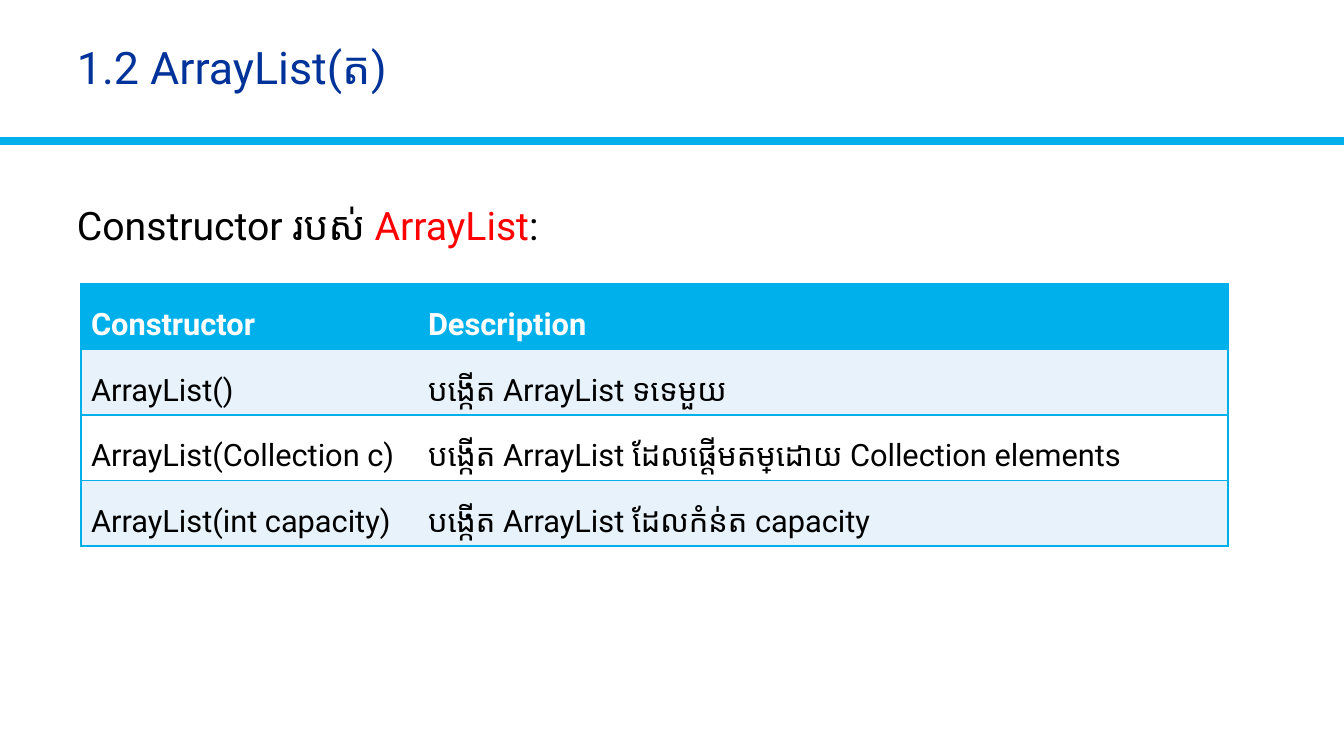
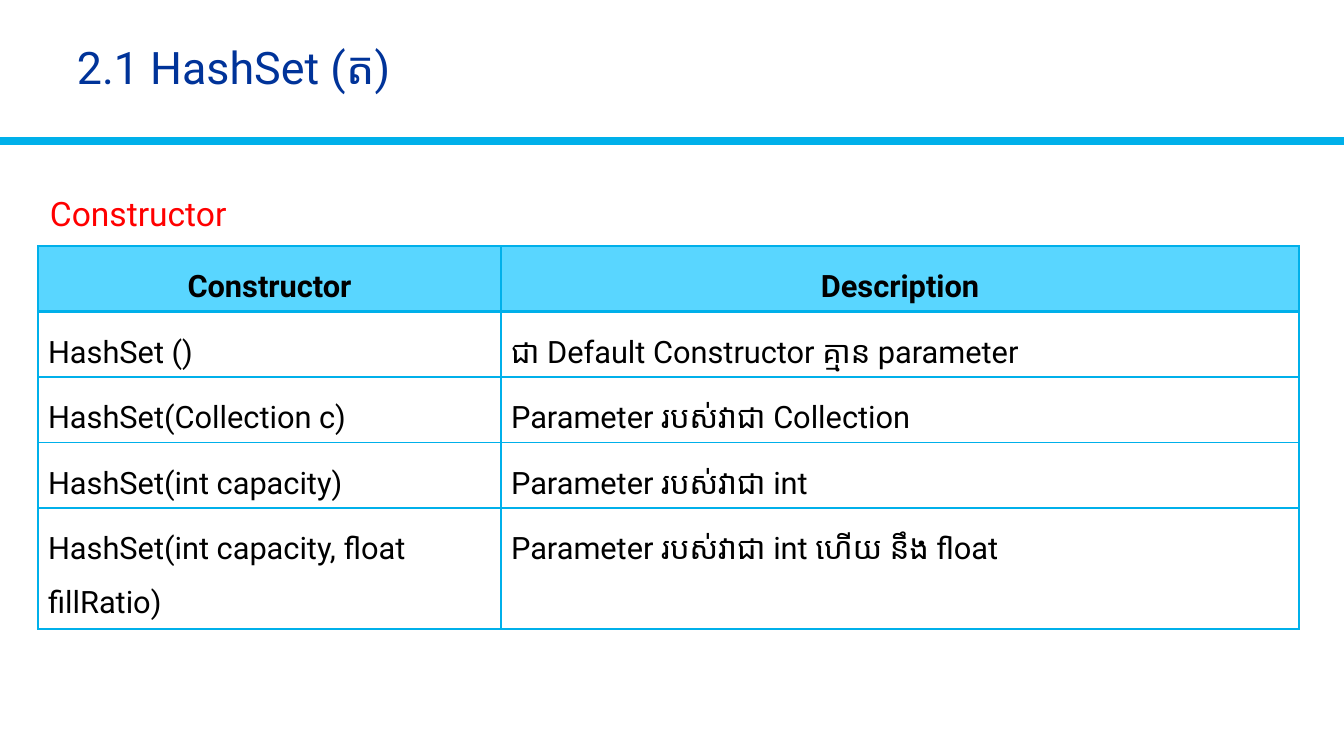
"""Builds two slides that list the constructors of ArrayList and HashSet."""
from lxml.etree import SubElement
from pptx import Presentation
from pptx.dml.color import RGBColor
from pptx.enum.shapes import MSO_CONNECTOR
from pptx.enum.text import MSO_ANCHOR, PP_ALIGN
from pptx.oxml.ns import qn
from pptx.util import Emu, Pt

COLORS = {
    "navy": "003399", "cyan": "00B0EA", "sky": "59D6FF", "pale": "E7F2FB",
    "white": "FFFFFF", "black": "000000", "red": "FF0000",
}
FONT = "Roboto"
SCALE = 914400 / 100.8
WIDTH, HEIGHT = 1344, 756


def px(length):
    return Emu(round(length * SCALE))


def rgb(name):
    return RGBColor.from_string(COLORS[name])


def write(frame, text, size=22, color="black", bold=False, align=PP_ALIGN.LEFT, spacing=1.0):
    pieces = [(text, color)] if isinstance(text, str) else text
    paragraph = frame.paragraphs[0]
    paragraph.alignment = align
    paragraph.line_spacing = spacing
    for words, shade in pieces:
        run = paragraph.add_run()
        run.text = words
        run.font.name = FONT
        run.font.size = Pt(size)
        run.font.bold = bold
        run.font.color.rgb = rgb(shade)


def set_border(cell, side, color, width=1):
    edge = SubElement(cell._tc.get_or_add_tcPr(), qn(f"a:ln{side}"), w=str(Pt(width)))
    if color is None:
        SubElement(edge, qn("a:noFill"))
    else:
        fill = SubElement(edge, qn("a:solidFill"))
        SubElement(fill, qn("a:srgbClr"), val=COLORS[color])


class Deck:
    def __init__(self):
        self.presentation = Presentation()
        self.presentation.slide_width = px(WIDTH)
        self.presentation.slide_height = px(HEIGHT)
        self.slide = None

    def add_slide(self, title):
        self.slide = self.presentation.slides.add_slide(self.presentation.slide_layouts[6])
        self.add_rule(141)
        self.add_text(67, 14, 1212, 112, title, anchor=MSO_ANCHOR.MIDDLE,
                      size=32, color="navy", spacing=0.9)

    def add_rule(self, y):
        rule = self.slide.shapes.add_connector(MSO_CONNECTOR.STRAIGHT, 0, px(y), px(WIDTH), px(y))
        rule.line.color.rgb = rgb("cyan")
        rule.line.width = Pt(6)
        SubElement(rule._element.spPr, qn("a:effectLst"))

    def add_text(self, x, y, width, height, text, anchor=MSO_ANCHOR.TOP, **style):
        frame = self.slide.shapes.add_textbox(px(x), px(y), px(width), px(height)).text_frame
        frame.word_wrap = True
        frame.vertical_anchor = anchor
        write(frame, text, **style)

    def add_table(self, x, y, widths, heights, rows, header, fills, divided=True, header_rule=1):
        table = self.slide.shapes.add_table(
            len(rows), len(widths), px(x), px(y), px(sum(widths)), px(sum(heights))).table
        for column, width in zip(table.columns, widths):
            column.width = px(width)
        for r, (row, height) in enumerate(zip(rows, heights)):
            table.rows[r].height = px(height)
            style = header if r == 0 else {}
            for c, text in enumerate(row):
                cell = table.cell(r, c)
                write(cell.text_frame, text, spacing=1.5, **style)
                set_border(cell, "L", "cyan" if divided or c == 0 else None)
                set_border(cell, "R", "cyan" if divided or c == len(row) - 1 else None)
                set_border(cell, "T", "cyan", header_rule if r == 1 else 1)
                set_border(cell, "B", "cyan", header_rule if r == 0 else 1)
                cell.fill.solid()
                cell.fill.fore_color.rgb = rgb(fills[r])


def main():
    deck = Deck()

    deck.add_slide("1.2 ArrayList(ត)")
    deck.add_text(67, 196, 1214, 476, [
        ("Constructor របស់ ", "black"), ("ArrayList", "red"), (":", "black")], size=28)
    deck.add_table(
        81, 284, [337, 810], [64] * 4,
        [("Constructor", "Description"),
         ("ArrayList()", "បង្កើត ArrayList ទទេមួយ"),
         ("ArrayList(Collection c)", "បង្កើត ArrayList ដែលផ្ដើមតម្លៃដោយ Collection elements"),
         ("ArrayList(int capacity)", "បង្កើត ArrayList ដែលកំន់ត capacity")],
        header={"color": "white", "bold": True},
        fills=["cyan", "pale", "white", "pale"], divided=False)

    deck.add_slide("2.1 HashSet (ត)")
    deck.add_text(40, 168, 1214, 524, "Constructor", size=24, color="red", spacing=1.5)
    deck.add_table(
        38, 246, [463, 798], [64] * 4 + [119],
        [("Constructor", "Description"),
         ("HashSet ()", "ជា Default Constructor គ្មាន parameter"),
         ("HashSet(Collection c)", "Parameter របស់វាជា Collection"),
         ("HashSet(int capacity)", "Parameter របស់វាជា int"),
         ("HashSet(int capacity, float fillRatio)", "Parameter របស់វាជា int ហើយ នឹង float")],
        header={"bold": True, "align": PP_ALIGN.CENTER},
        fills=["sky"] + ["white"] * 4, header_rule=2)

    deck.presentation.save("out.pptx")


if __name__ == "__main__":
    main()
